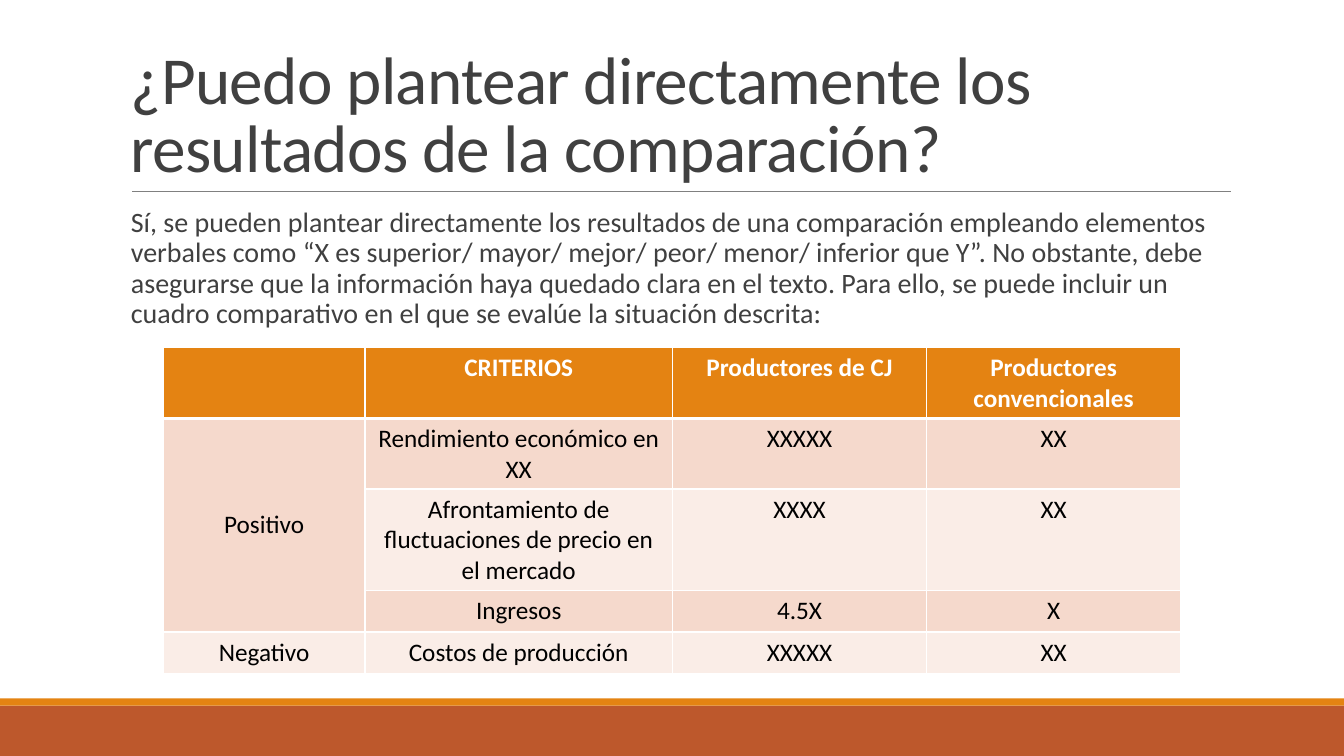
import pptx
import pptx.dml.color
import pptx.enum.shapes
import pptx.enum.text
import pptx.oxml
import pptx.oxml.ns
import pptx.util
from lxml import etree

Inches, Pt = pptx.util.Inches, pptx.util.Pt
ANCHOR = pptx.enum.text.MSO_ANCHOR
ALIGN = pptx.enum.text.PP_ALIGN

TITLE = "¿Puedo plantear directamente los resultados de la comparación?"
BODY = (
    "Sí, se pueden plantear directamente los resultados de una comparación "
    "empleando elementos verbales como “X es superior/ mayor/ mejor/ peor/ "
    "menor/ inferior que Y”. No obstante, debe asegurarse que la información "
    "haya quedado clara en el texto. Para ello, se puede incluir un cuadro "
    "comparativo en el que se evalúe la situación descrita:"
)
ROWS = [
    ("", "CRITERIOS", "Productores de CJ", "Productores convencionales"),
    ("Positivo", "Rendimiento económico en XX", "XXXXX", "XX"),
    ("", "Afrontamiento de fluctuaciones de precio en el mercado", "XXXX", "XX"),
    ("", "Ingresos", "4.5X", "X"),
    ("Negativo", "Costos de producción", "XXXXX", "XX"),
]
COLUMN_WIDTHS = [2, 3.05, 2.52, 2.52]
ROW_HEIGHTS = [0.7, 0.7, 1.01, 0.41, 0.41]
BANDS = [(7, 0.5, "BD582C"), (6.93, 0.07, "E48312")]
HEADER_FILL, ODD_FILL, EVEN_FILL = "E48312", "F5D9CC", "FAEDE7"
WHITE, BLACK, GREY, RULE = "FFFFFF", "000000", "404040", "808080"


def color(value):
    return pptx.dml.color.RGBColor.from_string(value)


def set_text(frame, text, size=18, fill=BLACK, bold=False, align=ALIGN.LEFT,
             line_spacing=1.0, tracking=None):
    paragraph = frame.paragraphs[0]
    paragraph.alignment = align
    paragraph.line_spacing = line_spacing
    run = paragraph.add_run()
    run.text = text
    run.font.name = "Calibri"
    run.font.size = Pt(size)
    run.font.bold = bold
    run.font.color.rgb = color(fill)
    if tracking is not None:
        run.font._element.set("spc", str(int(tracking * 100)))


def add_text_box(slide, left, top, width, height, text, anchor=ANCHOR.TOP, **style):
    frame = slide.shapes.add_textbox(
        Inches(left), Inches(top), Inches(width), Inches(height)).text_frame
    frame.word_wrap = True
    frame.vertical_anchor = anchor
    set_text(frame, text, **style)


def set_borders(cell, bottom):
    """Draw white borders, 1 pt except for the given bottom width."""
    properties = cell._tc.get_or_add_tcPr()
    widths = {"lnL": 1, "lnR": 1, "lnT": 1, "lnB": bottom}
    for position, (tag, width) in enumerate(widths.items()):
        border = pptx.oxml.parse_xml(
            f'<a:{tag} {pptx.oxml.ns.nsdecls("a")} w="{Pt(width)}"><a:solidFill>'
            f'<a:srgbClr val="{WHITE}"/></a:solidFill></a:{tag}>')
        properties.insert(position, border)


def add_bands(slide, width):
    for top, height, fill in BANDS:
        band = slide.shapes.add_shape(
            pptx.enum.shapes.MSO_SHAPE.RECTANGLE, 0, Inches(top), width, Inches(height))
        band.shadow.inherit = False
        band.fill.solid()
        band.fill.fore_color.rgb = color(fill)
        band.line.fill.background()


def add_title_rule(slide):
    rule = slide.shapes.add_connector(
        pptx.enum.shapes.MSO_CONNECTOR.STRAIGHT,
        Inches(1.31), Inches(1.9), Inches(12.21), Inches(1.9))
    rule.line.color.rgb = color(RULE)
    rule.line.width = Pt(0.5)
    etree.SubElement(rule._element.spPr, pptx.oxml.ns.qn("a:effectLst"))


def add_comparison_table(slide):
    table = slide.shapes.add_table(
        len(ROWS), len(COLUMN_WIDTHS), Inches(1.62), Inches(3.45),
        Inches(sum(COLUMN_WIDTHS)), Inches(sum(ROW_HEIGHTS))).table
    for column, width in zip(table.columns, COLUMN_WIDTHS):
        column.width = Inches(width)
    for row, height in zip(table.rows, ROW_HEIGHTS):
        row.height = Inches(height)
    for row_index, texts in enumerate(ROWS):
        header = row_index == 0
        fill = HEADER_FILL if header else ODD_FILL if row_index % 2 else EVEN_FILL
        for column_index, text in enumerate(texts):
            cell = table.cell(row_index, column_index)
            cell.fill.solid()
            cell.fill.fore_color.rgb = color(fill)
            set_borders(cell, bottom=3 if header else 1)
            if text:
                set_text(cell.text_frame, text, fill=WHITE if header else BLACK,
                         bold=header, align=ALIGN.CENTER)
    positive = table.cell(1, 0)
    positive.merge(table.cell(3, 0))
    positive.vertical_anchor = ANCHOR.MIDDLE


def main():
    presentation = pptx.Presentation()
    presentation.slide_width = Inches(13.33)
    presentation.slide_height = Inches(7.5)
    slide = presentation.slides.add_slide(presentation.slide_layouts[6])
    add_bands(slide, presentation.slide_width)
    add_title_rule(slide)
    add_text_box(slide, 1.2, 0.31, 11, 1.59, TITLE, anchor=ANCHOR.BOTTOM,
                 size=48, fill=GREY, line_spacing=0.85, tracking=-0.5)
    add_text_box(slide, 1.2, 2.02, 11, 1.4, BODY,
                 size=20, fill=GREY, line_spacing=0.9)
    add_comparison_table(slide)
    presentation.save("out.pptx")


if __name__ == "__main__":
    main()
